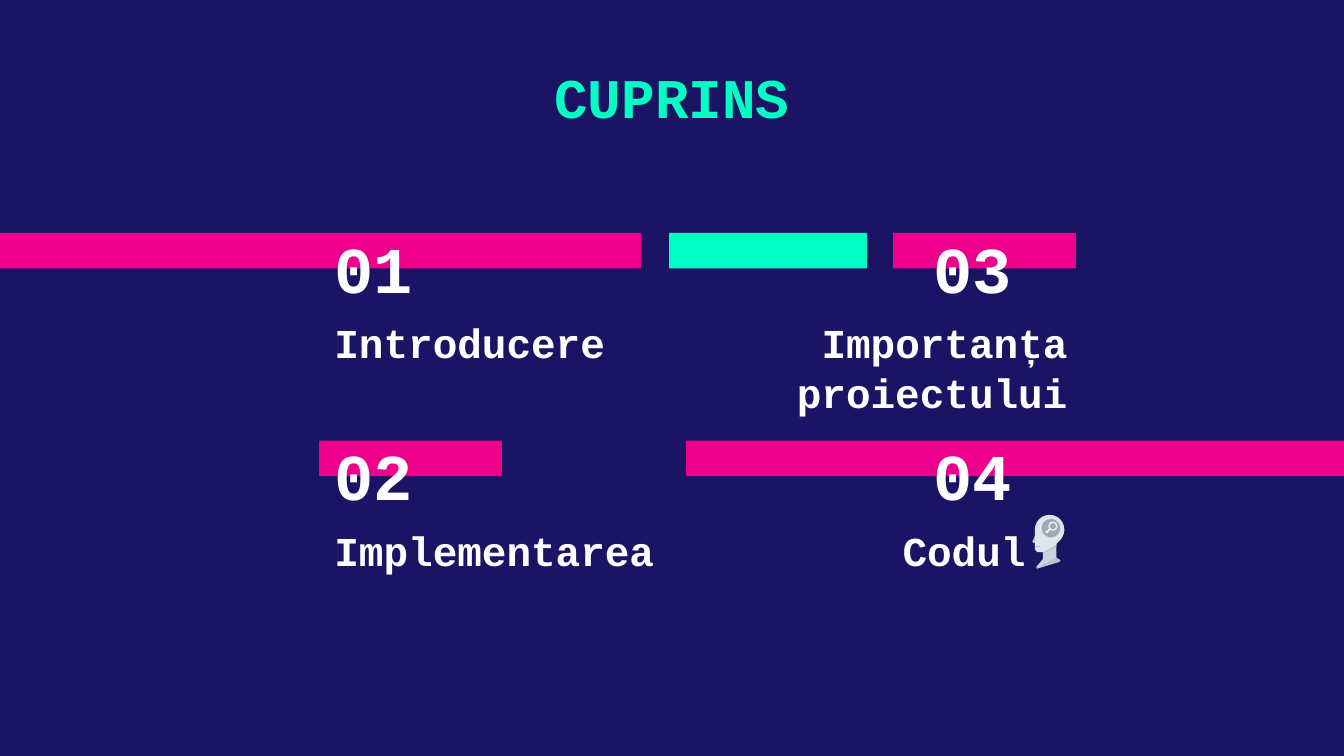
from pptx import Presentation
from pptx.dml.color import RGBColor
from pptx.enum.shapes import MSO_SHAPE as Shape
from pptx.enum.text import MSO_ANCHOR as Anchor, PP_ALIGN as Align
from pptx.util import Pt

COLORS = {
    "navy": "1B1464", "pink": "EC008C", "mint": "00FFC5", "white": "FFFFFF",
    "head": "DFE5EA", "neck": "C8D3DC", "shade": "B5C4D0",
    "brain": "9DABB7", "lens": "E7ECF0",
}
FONT = "Courier New"
WIDTH, HEIGHT = 720, 405

# Vertical grid: each row has a bar, a number and a label
ROW_PITCH = 111.3
BAR_TOP, BAR_HEIGHT = 124.8, 19
NUMBER_TOP, NUMBER_HEIGHT = 145.3, 18.7
LABEL_TOP = 170.2
COLUMN_LEFT, NUMBER_WIDTH = (172.1, 378.7), 170.6

# Row, left, width, color
BARS = [
    (0, 0, 343.4, "pink"),
    (0, 478.4, 98, "pink"),
    (1, 170.9, 98, "pink"),
    (1, 367.5, 352.5, "pink"),
    (0, 358.4, 106, "mint"),
]
# Row, column, number, label, label width
TOPICS = [
    (0, 0, "01", "Introducere", 170.6),
    (0, 1, "03", "Importanța proiectului", 200.2),
    (1, 0, "02", "Implementarea", 192.2),
    (1, 1, "04", "Codul", 177.8),
]


def rgb(name):
    return RGBColor.from_string(COLORS[name])


def paint(shape, color):
    shape.shadow.inherit = False
    shape.fill.solid()
    shape.fill.fore_color.rgb = rgb(color)
    shape.line.fill.background()


def add_preset(shapes, kind, box, color):
    shape = shapes.add_shape(kind, *map(Pt, box))
    paint(shape, color)
    return shape


def add_outline(shapes, points, color):
    start, *others = [(Pt(x), Pt(y)) for x, y in points]
    builder = shapes.build_freeform(*start)
    builder.add_line_segments(others, close=True)
    paint(builder.convert_to_shape(), color)


def add_text(slide, text, box, size, color="white", align=Align.LEFT,
             anchor=Anchor.TOP, inset=0):
    frame = slide.shapes.add_textbox(*map(Pt, box)).text_frame
    frame_format = {
        "word_wrap": True, "vertical_anchor": anchor,
        "margin_left": Pt(7.2), "margin_right": Pt(7.2),
        "margin_top": Pt(inset), "margin_bottom": Pt(inset),
    }
    for name, value in frame_format.items():
        setattr(frame, name, value)
    paragraph = frame.paragraphs[0]
    paragraph.alignment = align
    run = paragraph.add_run()
    run.text = text
    for name, value in {"name": FONT, "size": Pt(size), "bold": True}.items():
        setattr(run.font, name, value)
    run.font.color.rgb = rgb(color)


def add_topic(slide, row, column, number, label, label_width):
    left, offset = COLUMN_LEFT[column], row * ROW_PITCH
    align = (Align.LEFT, Align.RIGHT)[column]
    add_text(slide, number,
             (left, NUMBER_TOP + offset, NUMBER_WIDTH, NUMBER_HEIGHT),
             35, align=align, anchor=Anchor.BOTTOM)
    add_text(slide, label, (left, LABEL_TOP + offset, label_width, 34),
             22, align=align)


def add_head_icon(slide):
    shapes = slide.shapes.add_group_shape().shapes
    # Nose, neck and neck shadows
    add_outline(shapes, [(554.4, 287.3), (553, 290.2), (553.7, 290.9),
                         (555.1, 290.9), (555.1, 287.3)], "shade")
    add_outline(shapes, [(558.7, 290.2), (558.7, 299.5), (555.1, 303.8),
                         (555.8, 304.6), (567.4, 301), (568.1, 300.2),
                         (565.9, 298.8), (565.9, 290.2)], "neck")
    add_outline(shapes, [(558.7, 290.2), (558.7, 296.6), (565.9, 293),
                         (565.9, 290.2)], "shade")
    add_outline(shapes, [(565.9, 298.8), (555.1, 304.6), (567.4, 301),
                         (568.1, 300.2)], "shade")
    # Skull, jaw and mouth
    add_preset(shapes, Shape.OVAL, (554.4, 275.8, 15.8, 15.8), "head")
    add_outline(shapes, [(554.4, 283.7), (554.4, 294.5), (555.8, 295.9),
                         (558.7, 295.9), (565.2, 292.3), (568.6, 288.6),
                         (570.2, 283.7)], "head")
    add_outline(shapes, [(554.4, 292.3), (554.4, 293), (557.3, 293),
                         (557.3, 292.3)], "shade")
    # Brain with magnifying glass
    add_preset(shapes, Shape.OVAL, (558, 277.9, 10.1, 10.1), "brain")
    lens = add_preset(shapes, Shape.OVAL, (562, 279.8, 4.2, 4.2), "lens")
    lens.fill.background()
    lens.line.color.rgb = rgb("lens")
    lens.line.width = Pt(0.8)
    add_outline(shapes, [(562.2, 283), (559.8, 285.1), (560.9, 285.9),
                         (563, 283.7)], "lens")


def main():
    presentation = Presentation()
    presentation.slide_width, presentation.slide_height = Pt(WIDTH), Pt(HEIGHT)
    slide = presentation.slides.add_slide(presentation.slide_layouts[6])
    slide.background.fill.solid()
    slide.background.fill.fore_color.rgb = rgb("navy")

    # Bars
    for row, left, width, color in BARS:
        top = BAR_TOP + row * ROW_PITCH
        add_preset(slide.shapes, Shape.RECTANGLE,
                   (left, top, width, BAR_HEIGHT), color)

    # Title and topics
    add_text(slide, "CUPRINS", (100.8, 26.6, 518.4, 52.6), 30, "mint",
             Align.CENTER, inset=7.2)
    for topic in TOPICS:
        add_topic(slide, *topic)

    add_head_icon(slide)
    presentation.save("out.pptx")


if __name__ == "__main__":
    main()
